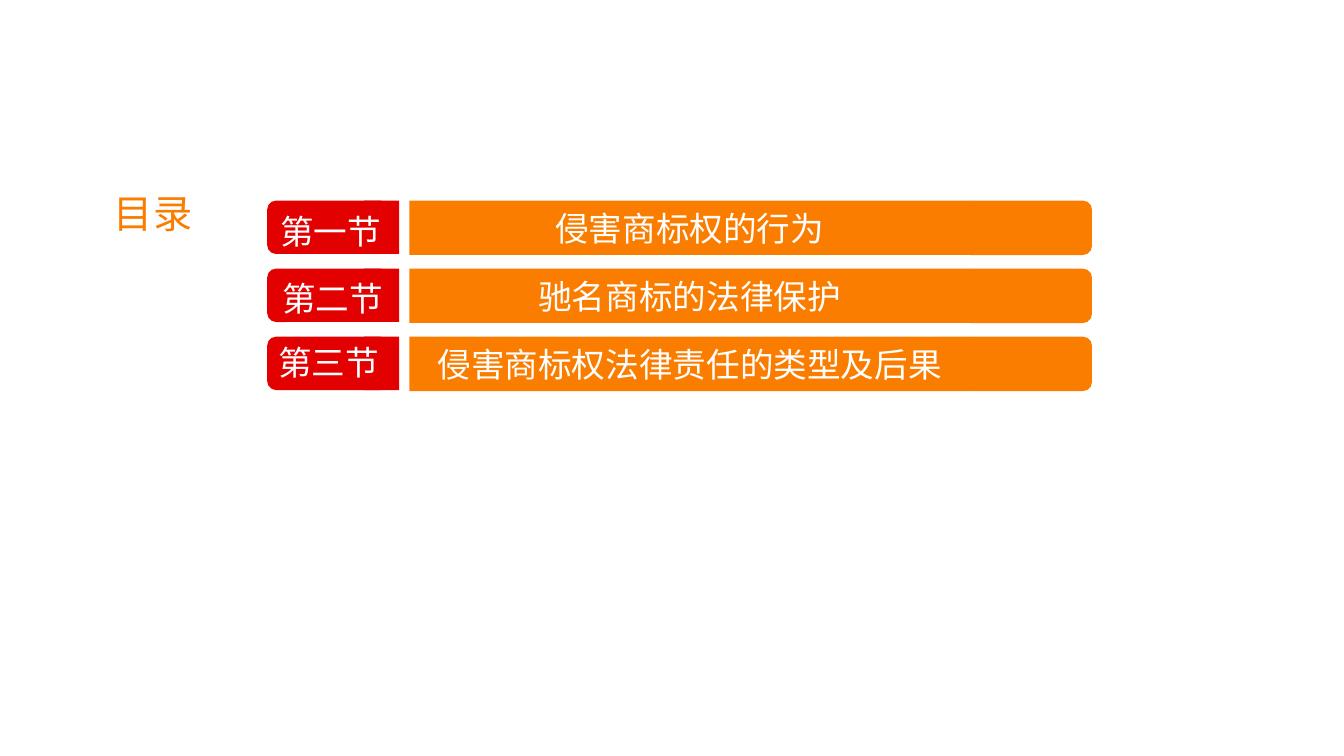
from pptx import Presentation
from pptx.util import Inches, Pt
from pptx.dml.color import RGBColor
from pptx.enum.shapes import MSO_SHAPE
from pptx.enum.text import MSO_ANCHOR, PP_ALIGN
from lxml import etree

FONT = "Noto Sans CJK SC"
ORANGE, RED, WHITE = "FA7D00", "E20000", "FFFFFF"
TOP, STEP = 1.99, 0.675


def write(shape, text, size, color, align=PP_ALIGN.LEFT, wrap=False):
    frame = shape.text_frame
    frame.text = text
    frame.word_wrap = wrap
    para = frame.paragraphs[0]
    para.alignment = align
    font = para.runs[0].font
    font.size = Pt(size)
    font.name = FONT
    font.color.rgb = RGBColor.from_string(color)
    # East Asian glyphs take their typeface from a:ea
    latin = font._element.find("{*}latin")
    east = etree.Element(latin.tag.replace("latin", "ea"), typeface=FONT)
    latin.addnext(east)


def block(kind, left, top, width, height, color):
    shape = slide.shapes.add_shape(
        kind, Inches(left), Inches(top), Inches(width), Inches(height))
    shape.shadow.inherit = False
    shape.fill.solid()
    shape.fill.fore_color.rgb = RGBColor.from_string(color)
    shape.line.fill.background()
    return shape


deck = Presentation()
deck.slide_width, deck.slide_height = Inches(13.33), Inches(7.5)
slide = deck.slides.add_slide(deck.slide_layouts[5])

title = slide.shapes.title
title.left, title.top = Inches(1.03), Inches(1.83)
title.width, title.height = Inches(0.99), Inches(0.57)
write(title, "目录", 28, ORANGE)
title.text_frame.vertical_anchor = MSO_ANCHOR.TOP

# label, heading, left and drop of the label within its row
rows = [
    ("第一节", "侵害商标权的行为", 2.68, 0.05),
    ("第二节", "驰名商标的法律保护", 2.7, 0.04),
    ("第三节", "侵害商标权法律责任的类型及后果", 2.66, 0),
]
for i, (label, heading, left, drop) in enumerate(rows):
    top = TOP + i * STEP
    block(MSO_SHAPE.ROUNDED_RECTANGLE, 9.54, top, 1.29, 0.54, ORANGE)
    block(MSO_SHAPE.ROUNDED_RECTANGLE, 2.65, top, 1.21, 0.53, RED)
    block(MSO_SHAPE.RECTANGLE, 3.61, top, 0.35, 0.53, RED)
    bar = block(MSO_SHAPE.RECTANGLE, 4.06, top, 5.56, 0.54, ORANGE)
    write(bar, heading, 24, WHITE, PP_ALIGN.CENTER, True)
    bar.text_frame.vertical_anchor = MSO_ANCHOR.MIDDLE
    tag = slide.shapes.add_textbox(
        Inches(left), Inches(top + drop), Inches(1.21), Inches(0.5))
    write(tag, label, 24, WHITE)

deck.save("out.pptx")
